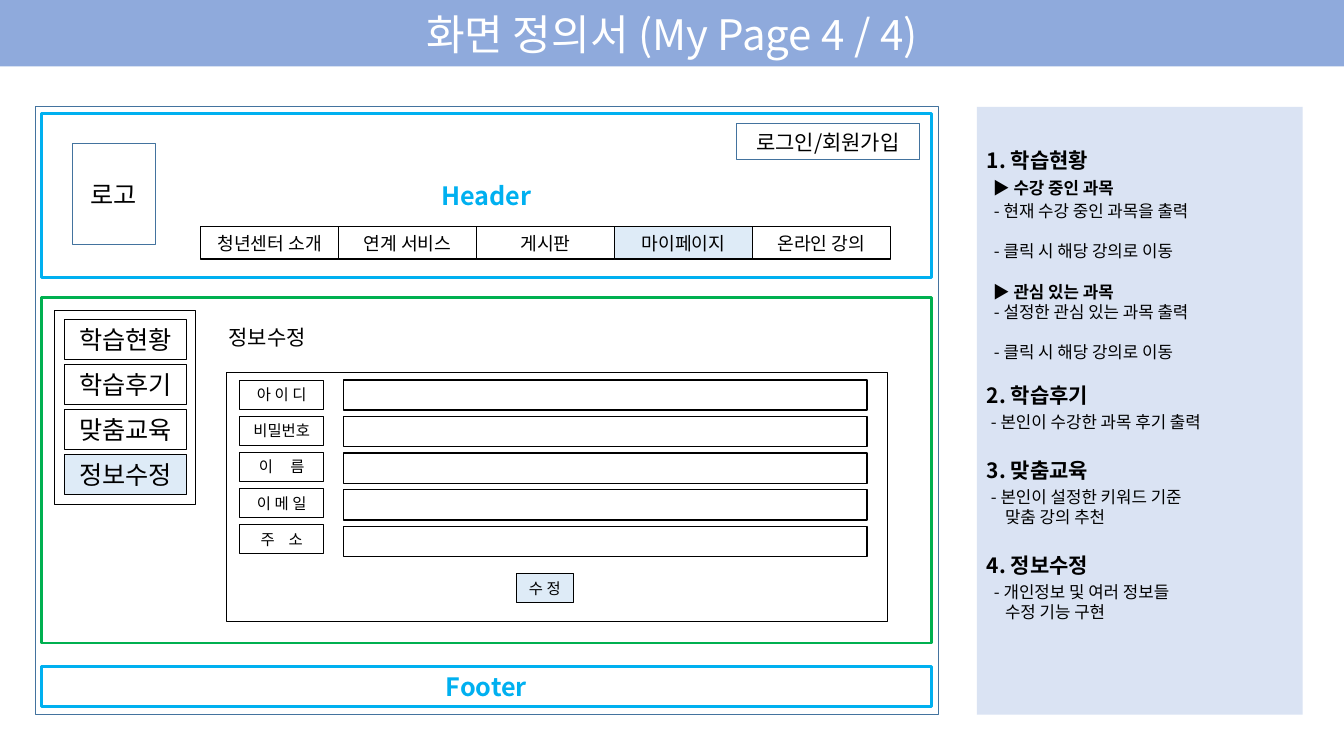
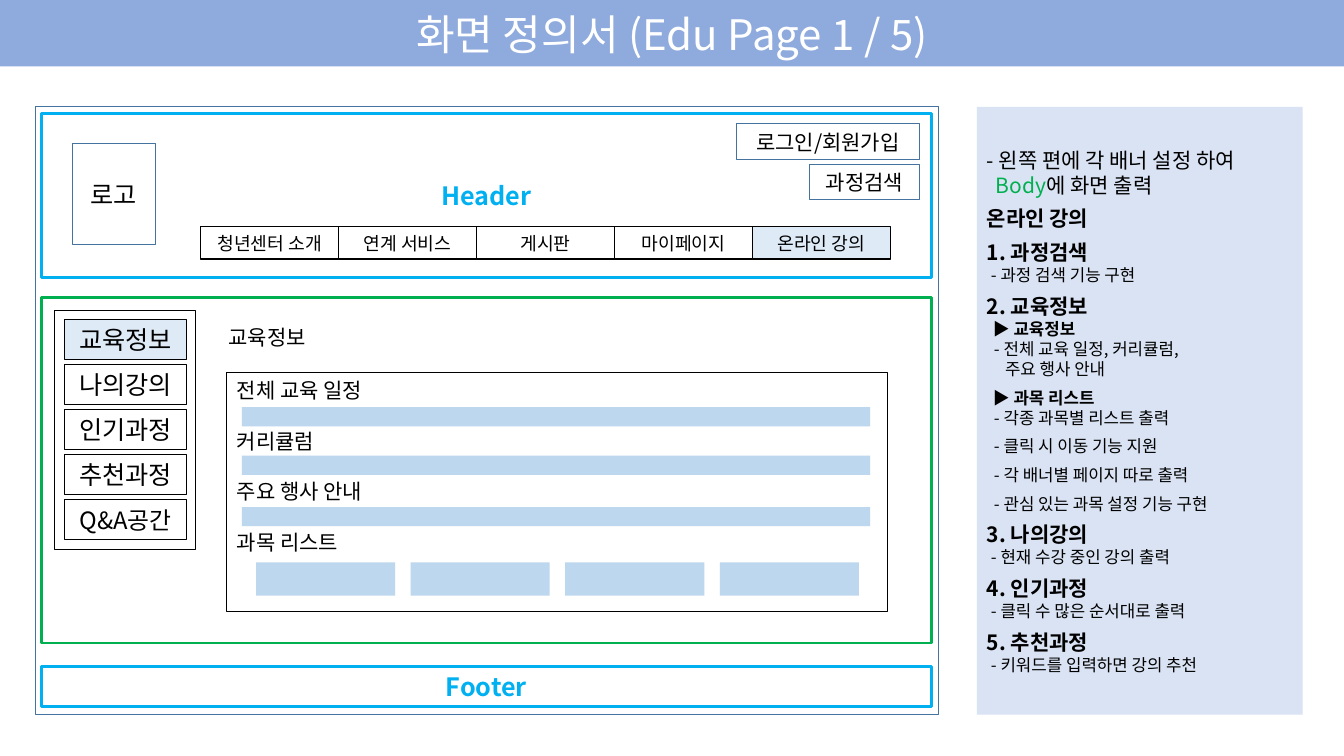
import dataclasses
import lxml.etree
import pptx
import pptx.dml.color
import pptx.enum.shapes
import pptx.enum.text
import pptx.oxml.ns
import pptx.util


@dataclasses.dataclass(frozen=True)
class Theme:
    font: str = "Noto Sans CJK KR"
    ink: str = "000000"
    white: str = "FFFFFF"
    band: str = "8FAADC"
    panel: str = "DAE3F3"
    active: str = "DEEBF7"
    content: str = "BDD7EE"
    blue: str = "00B0F0"
    green: str = "00B050"
    steel: str = "43739E"
    title: float = 30
    large: float = 18
    tight: float = 17
    medium: float = 15
    menu: float = 13
    note: float = 12
    small: float = 11
    leading: float = 1.2


theme = Theme()
rgb = pptx.dml.color.RGBColor.from_string
Align = pptx.enum.text.PP_ALIGN
Anchor = pptx.enum.text.MSO_ANCHOR

deck = pptx.Presentation()
deck.slide_width = pptx.util.Inches(13.33)
deck.slide_height = pptx.util.Inches(7.5)
cell = deck.slide_height / 75
full_width = deck.slide_width / cell


def write(para, spans, size, bold=False, align=Align.CENTER, indent=0, before=0):
    para.alignment = align
    para.line_spacing = pptx.util.Pt(size * theme.leading)
    para.space_before = pptx.util.Pt(before)
    if indent:
        para._p.get_or_add_pPr().set("marL", str(round(indent * cell)))
    for text, colour, spacing in spans:
        span = para.add_run()
        span.text = text
        span.font.size = pptx.util.Pt(size)
        span.font.bold = bold
        span.font.color.rgb = rgb(colour)
        span.font.name = theme.font
        properties = span._r.get_or_add_rPr()
        if spacing:
            properties.set("spc", str(spacing))
        lxml.etree.SubElement(properties, pptx.oxml.ns.qn("a:ea"), typeface=theme.font)


def add_box(page, place, text="", size=theme.medium, line=None, weight=0.75,
            fill=None, colour=theme.ink, bold=False, align=Align.CENTER):
    box = page.shapes.add_shape(pptx.enum.shapes.MSO_SHAPE.RECTANGLE,
                                *[round(length * cell) for length in place])
    box.shadow.inherit = False
    if fill:
        box.fill.solid()
        box.fill.fore_color.rgb = rgb(fill)
    else:
        box.fill.background()
    if line:
        box.line.color.rgb = rgb(line)
        box.line.width = pptx.util.Pt(weight)
    else:
        box.line.fill.background()
    frame = box.text_frame
    frame.word_wrap = True
    frame.vertical_anchor = Anchor.MIDDLE
    frame.margin_top = frame.margin_bottom = frame.margin_right = 0
    frame.margin_left = round(cell) if align == Align.LEFT else 0
    if text:
        write(frame.paragraphs[0], [(text, colour, 0)], size, bold, align)
    return box


note_styles = {
    "lead": (theme.medium, False, 0, [theme.ink]),
    "body": (theme.medium, False, 0.9, [theme.green, theme.ink]),
    "head": (theme.medium, True, 0, [theme.ink]),
    "mark": (theme.note, True, 0.6, [theme.ink]),
    "item": (theme.note, False, 0.7, [theme.ink]),
    "line": (theme.note, False, 0.4, [theme.ink]),
    "more": (theme.note, False, 1.8, [theme.ink]),
}
menu = ["청년센터 소개", "연계 서비스", "게시판", "마이페이지", "온라인 강의"]
screens = [
    {
        "title": "화면 정의서 (My Page 4 / 4)",
        "menu": "마이페이지",
        "buttons": [("로그인/회원가입", 18.2)],
        "banners": ["학습현황", "학습후기", "맞춤교육", "정보수정"],
        "banner": "정보수정",
        "frame_height": 24.7,
        "fields": [("아 이 디", "", 0), ("비밀번호", "", 0), ("이 ", "름", 500),
                   ("이 메 일", "", 0), ("주 ", "소", 370)],
        "sections": [],
        "notes": [
            ("head", 0, "1. 학습현황"),
            ("mark", 4, "▶ 수강 중인 과목"),
            ("item", 2, "- 현재 수강 중인 과목을 출력"),
            ("item", 14.4, "- 클릭 시 해당 강의로 이동"),
            ("mark", 14.4, "▶ 관심 있는 과목"),
            ("item", 0, "- 설정한 관심 있는 과목 출력"),
            ("item", 14.4, "- 클릭 시 해당 강의로 이동"),
            ("head", 14.4, "2. 학습후기"),
            ("line", 3, "- 본인이 수강한 과목 후기 출력"),
            ("head", 18, "3. 맞춤교육"),
            ("line", 3, "- 본인이 설정한 키워드 기준"),
            ("more", 0, "맞춤 강의 추천"),
            ("head", 18, "4. 정보수정"),
            ("item", 3, "- 개인정보 및 여러 정보들"),
            ("more", 0, "수정 기능 구현"),
        ],
    },
    {
        "title": "화면 정의서 (Edu Page 1 / 5)",
        "menu": "온라인 강의",
        "buttons": [("로그인/회원가입", 18.2), ("과정검색", 10.9)],
        "banners": ["교육정보", "나의강의", "인기과정", "추천과정", "Q&A공간"],
        "banner": "교육정보",
        "frame_height": 23.7,
        "fields": [],
        "sections": ["전체 교육 일정", "커리큘럼", "주요 행사 안내", "과목 리스트"],
        "notes": [
            ("lead", 0, "- 왼쪽 편에 각 배너 설정 하여"),
            ("body", 0, "Body", "에 화면 출력"),
            ("head", 6, "온라인 강의"),
            ("head", 6, "1. 과정검색"),
            ("line", 0, "- 과정 검색 기능 구현"),
            ("head", 6, "2. 교육정보"),
            ("mark", 0, "▶ 교육정보"),
            ("item", 0, "- 전체 교육 일정, 커리큘럼,"),
            ("more", 0, "주요 행사 안내"),
            ("mark", 6, "▶ 과목 리스트"),
            ("item", 0, "- 각종 과목별 리스트 출력"),
            ("item", 6, "- 클릭 시 이동 기능 지원"),
            ("item", 6, "- 각 배너별 페이지 따로 출력"),
            ("item", 6, "- 관심 있는 과목 설정 기능 구현"),
            ("head", 6, "3. 나의강의"),
            ("line", 0, "- 현재 수강 중인 강의 출력"),
            ("head", 6, "4. 인기과정"),
            ("line", 0, "- 클릭 수 많은 순서대로 출력"),
            ("head", 6, "5. 추천과정"),
            ("line", 0, "- 키워드를 입력하면 강의 추천"),
        ],
    },
]

for screen in screens:
    page = deck.slides.add_slide(deck.slide_layouts[5])
    title = page.shapes.title
    title.left, title.top = 0, 0
    title.width, title.height = deck.slide_width, round(6.6 * cell)
    title.fill.solid()
    title.fill.fore_color.rgb = rgb(theme.band)
    title.text_frame.vertical_anchor = Anchor.MIDDLE
    title.text_frame.margin_top = title.text_frame.margin_bottom = 0
    write(title.text_frame.paragraphs[0], [(screen["title"], theme.white, 0)], theme.title)

    add_box(page, (3.5, 10.6, 89.6, 60.3), line=theme.steel, weight=1)
    for top, height, text, line in [(11.3, 16.2, "Header", theme.blue),
                                    (29.5, 34.3, "", theme.green),
                                    (66.1, 4, "Footer", theme.blue)]:
        add_box(page, (4.1, top, 88.3, height), text, theme.large,
                line=line, weight=2, colour=line, bold=True)
    add_box(page, (7.2, 14.2, 8.2, 10.1), "로고", theme.large, line=theme.steel)
    for row, (text, width) in enumerate(screen["buttons"]):
        add_box(page, (91.2 - width, 12.3 + 4 * row, width, 3.5), text, line=theme.steel)
    for column, text in enumerate(menu):
        add_box(page, (19.9 + 13.68 * column, 22.5, 13.68, 3.2), text, theme.menu,
                line=theme.ink, weight=1,
                fill=theme.active if text == screen["menu"] else None)

    add_box(page, (5.4, 30.8, 14, 1.4 + 4.46 * len(screen["banners"])),
            line=theme.ink, weight=1)
    for row, text in enumerate(screen["banners"]):
        add_box(page, (6.4, 31.7 + 4.46 * row, 12.1, 4), text,
                theme.tight if text.startswith("Q&A") else theme.large, line=theme.ink,
                fill=theme.active if text == screen["banner"] else None)
    add_box(page, (21.7, 31.7, 10.4, 3.5), screen["banner"], align=Align.LEFT)
    content = add_box(page, (22.5, 37, 65.5, screen["frame_height"]),
                      line=theme.ink, align=Align.LEFT)

    for row, (first, last, spacing) in enumerate(screen["fields"]):
        label = add_box(page, (23.8, 37.7 + 3.58 * row, 8.3, 2.9), line=theme.ink)
        spans = [(text, theme.ink, gap) for text, gap in [(first, spacing), (last, 0)] if text]
        write(label.text_frame.paragraphs[0], spans, theme.small)
        add_box(page, (34.1, 37.7 + 3.63 * row, 51.9, 3), line=theme.ink, weight=1)
    if screen["fields"]:
        add_box(page, (51.2, 56.9, 5.7, 2.9), "수 정", theme.small,
                line=theme.ink, fill=theme.active)

    if screen["sections"]:
        frame = content.text_frame
        frame.vertical_anchor = Anchor.TOP
        frame.margin_top = round(0.5 * cell)
        for row, text in enumerate(screen["sections"]):
            para = frame.add_paragraph() if row else frame.paragraphs[0]
            write(para, [(text, theme.ink, 0)], theme.medium, align=Align.LEFT,
                  before=18 if row else 0)
        for top in (40.4, 45.2, 50.3):
            add_box(page, (24, top, 62.3, 1.9), fill=theme.content)
        for column in range(4):
            add_box(page, (25.4 + 15.33 * column, 55.8, 13.8, 3.3), fill=theme.content)

    panel = add_box(page, (96.9, 10.6, 32.3, 60.3), fill=theme.panel, align=Align.LEFT)
    frame = panel.text_frame
    frame.vertical_anchor = Anchor.TOP
    frame.margin_top = round(4 * cell)
    for row, (style, before, *texts) in enumerate(screen["notes"]):
        size, bold, indent, colours = note_styles[style]
        para = frame.add_paragraph() if row else frame.paragraphs[0]
        write(para, [(text, colour, 0) for text, colour in zip(texts, colours)],
              size, bold, Align.LEFT, indent, before)

deck.save("out.pptx")
